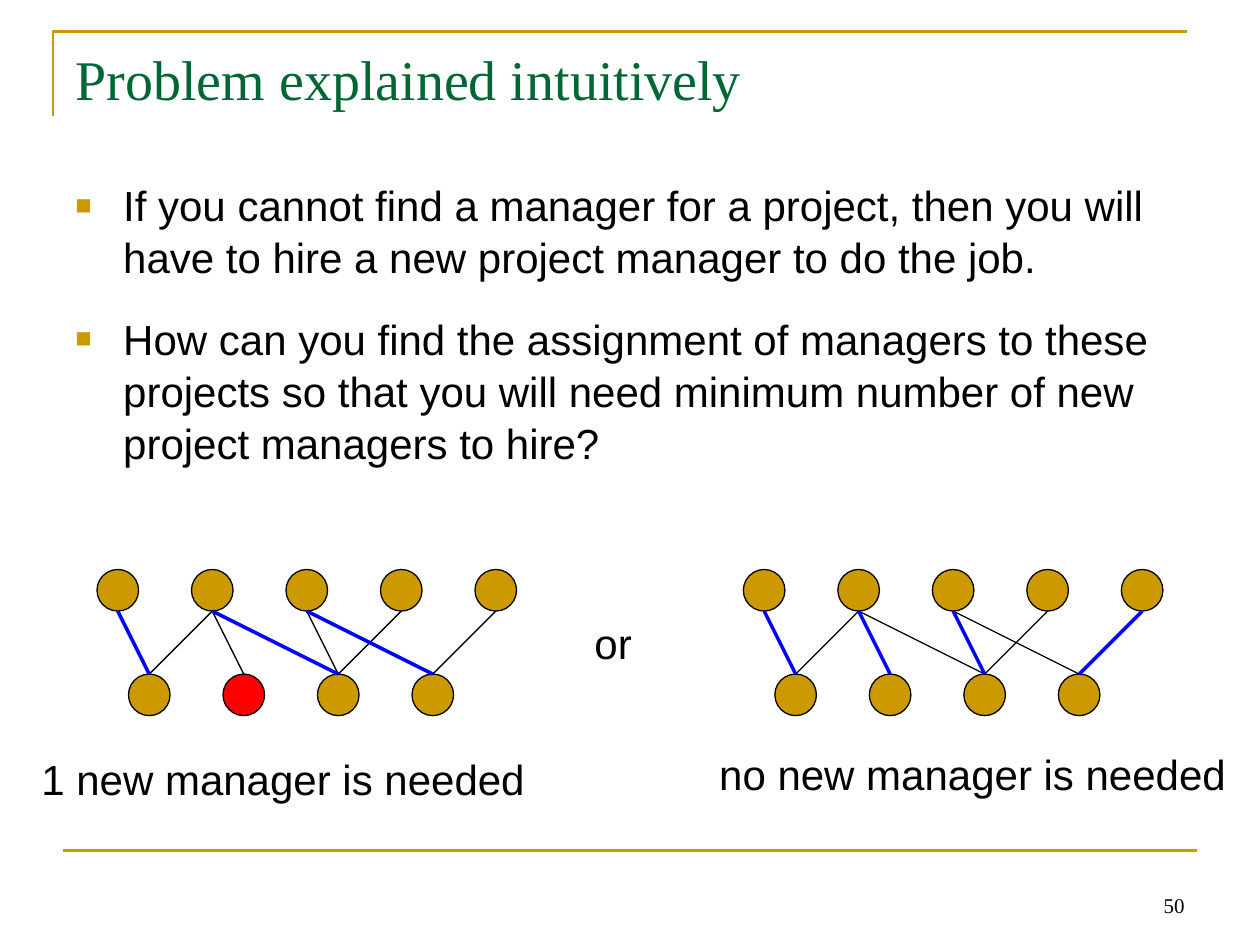
from dataclasses import dataclass

from lxml.etree import SubElement
from pptx import Presentation
from pptx.dml.color import RGBColor
from pptx.enum.shapes import MSO_CONNECTOR, MSO_SHAPE
from pptx.enum.text import MSO_ANCHOR, MSO_AUTO_SIZE, PP_ALIGN
from pptx.oxml.ns import qn
from pptx.util import Inches, Pt


@dataclass(frozen=True)
class Theme:
    """Colours, fonts and type sizes of the slide."""
    gold: str = "CC9900"
    green: str = "006633"
    black: str = "000000"
    blue: str = "0000FF"
    red: str = "FF0101"
    serif: str = "Times New Roman"
    sans: str = "Arial"
    title: int = 32
    body: int = 24
    number: int = 12
    thin: float = 0.75
    rule: float = 1.5
    bold: float = 2


THEME = Theme()
NODE, STEP = 0.33, 0.75
TOP_Y, BOTTOM_Y, BOTTOM_SHIFT = 4.52, 5.35, 0.25
EDGES = [(0, 0), (1, 0), (1, 1), (1, 2), (2, 2), (2, 3), (3, 2), (4, 3)]


def write(p, text, size=THEME.body, font=THEME.sans, color=THEME.black, align=None):
    """Put formatted text into a paragraph."""
    p.alignment = align
    r = p.add_run()
    r.text = text
    r.font.size = Pt(size)
    r.font.name = font
    r.font.color.rgb = RGBColor.from_string(color)


def add_bullet(p, color):
    """Give a paragraph a square bullet and a hanging indent."""
    pPr = p._p.get_or_add_pPr()
    pPr.set("marL", str(Inches(0.38)))
    pPr.set("indent", str(-Inches(0.38)))
    SubElement(SubElement(pPr, qn("a:buClr")), qn("a:srgbClr")).set("val", color)
    SubElement(pPr, qn("a:buSzPct")).set("val", "65000")
    SubElement(pPr, qn("a:buFont")).set("typeface", THEME.sans)
    SubElement(pPr, qn("a:buChar")).set("char", "■")


class Builder:
    """Holds the theme and the current slide."""

    def __init__(self, prs, theme):
        """Add a title-only slide."""
        self.theme = theme
        self.s = prs.slides.add_slide(prs.slide_layouts[5])

    def title(self, text, x, y, w, h):
        """Move and fill the title placeholder."""
        sp = self.s.shapes.title
        sp.left, sp.top, sp.width, sp.height = map(Inches, (x, y, w, h))
        tf = sp.text_frame
        tf.auto_size = MSO_AUTO_SIZE.NONE
        tf.vertical_anchor = MSO_ANCHOR.TOP
        t = self.theme
        write(tf.paragraphs[0], text, size=t.title, font=t.serif,
              color=t.green, align=PP_ALIGN.LEFT)

    def text(self, text, x, y, w, h, wrap=False, anchor=MSO_ANCHOR.TOP, **fmt):
        """Add a text box with one paragraph."""
        tf = self.s.shapes.add_textbox(*map(Inches, (x, y, w, h))).text_frame
        tf.word_wrap = wrap
        tf.vertical_anchor = anchor
        write(tf.paragraphs[0], text, **fmt)

    def bullets(self, items, x, y, w, h):
        """Add a bulleted text box."""
        tf = self.s.shapes.add_textbox(*map(Inches, (x, y, w, h))).text_frame
        tf.word_wrap = True
        for i, item in enumerate(items):
            p = tf.add_paragraph() if i else tf.paragraphs[0]
            add_bullet(p, self.theme.gold)
            p.line_spacing = 1.04
            if i:
                p.space_before = Pt(16.5)
            write(p, item)

    def line(self, start, end, color, width):
        """Add a straight line."""
        c = self.s.shapes.add_connector(
            MSO_CONNECTOR.STRAIGHT, *map(Inches, (*start, *end)))
        c.line.color.rgb = RGBColor.from_string(color)
        c.line.width = Pt(width)
        SubElement(c._element.spPr, qn("a:effectLst"))

    def corner(self, points):
        """Add an open, unfilled outline through the points."""
        pts = [(Inches(x), Inches(y)) for x, y in points]
        fb = self.s.shapes.build_freeform(*pts[0])
        fb.add_line_segments(pts[1:], close=False)
        sp = fb.convert_to_shape()
        sp.shadow.inherit = False
        sp.fill.background()
        sp.line.color.rgb = RGBColor.from_string(self.theme.gold)
        sp.line.width = Pt(self.theme.rule)

    def node(self, x, y, color):
        """Add a round graph node."""
        sp = self.s.shapes.add_shape(
            MSO_SHAPE.OVAL, *map(Inches, (x, y, NODE, NODE)))
        sp.shadow.inherit = False
        sp.fill.solid()
        sp.fill.fore_color.rgb = RGBColor.from_string(color)
        sp.line.color.rgb = RGBColor.from_string(self.theme.black)
        sp.line.width = Pt(self.theme.thin)

    def graph(self, left, matching, unmatched=()):
        """Add a bipartite graph with its matching highlighted."""
        t = self.theme
        top = [left + i * STEP for i in range(5)]
        bottom = [left + BOTTOM_SHIFT + i * STEP for i in range(4)]
        for x in top:
            self.node(x, TOP_Y, t.gold)
        for i, x in enumerate(bottom):
            self.node(x, BOTTOM_Y, t.red if i in unmatched else t.gold)
        for a, b in sorted(EDGES, key=lambda edge: edge in matching):
            color, width = (t.blue, t.bold) if (a, b) in matching else (t.black, t.thin)
            self.line((top[a] + NODE / 2, TOP_Y + NODE),
                      (bottom[b] + NODE / 2, BOTTOM_Y), color, width)


def main():
    """Build and save the slide."""
    prs = Presentation()
    prs.slide_width, prs.slide_height = Inches(10), Inches(7.5)
    b = Builder(prs, THEME)
    b.corner([(0.42, 0.92), (0.42, 0.25), (9.42, 0.25)])
    b.line((0.5, 6.75), (9.5, 6.75), THEME.gold, THEME.rule)
    b.text("50", 7.17, 6.83, 2.33, 0.5, wrap=True, anchor=MSO_ANCHOR.BOTTOM,
           size=THEME.number, font=THEME.serif, align=PP_ALIGN.RIGHT)
    b.title("Problem explained intuitively", 0.5, 0.3, 9, 1.25)
    b.bullets([
        "If you cannot find a manager for a project, then you will have to hire "
        "a new project manager to do the job.",
        "How can you find the assignment of managers to these projects so that "
        "you will need minimum number of new project managers to hire?",
    ], 0.5, 1.36, 9, 4.92)
    b.graph(0.77, {(0, 0), (1, 2), (2, 3)}, unmatched={1})
    b.graph(5.9, {(0, 0), (1, 1), (2, 2), (4, 3)})
    b.text("or", 4.62, 4.85, 0.5, 0.5)
    b.text("1 new manager is needed", 0.23, 5.93, 4.08, 0.5)
    b.text("no new manager is needed", 5.61, 5.89, 4.27, 0.5)
    prs.save("out.pptx")


if __name__ == "__main__":
    main()
